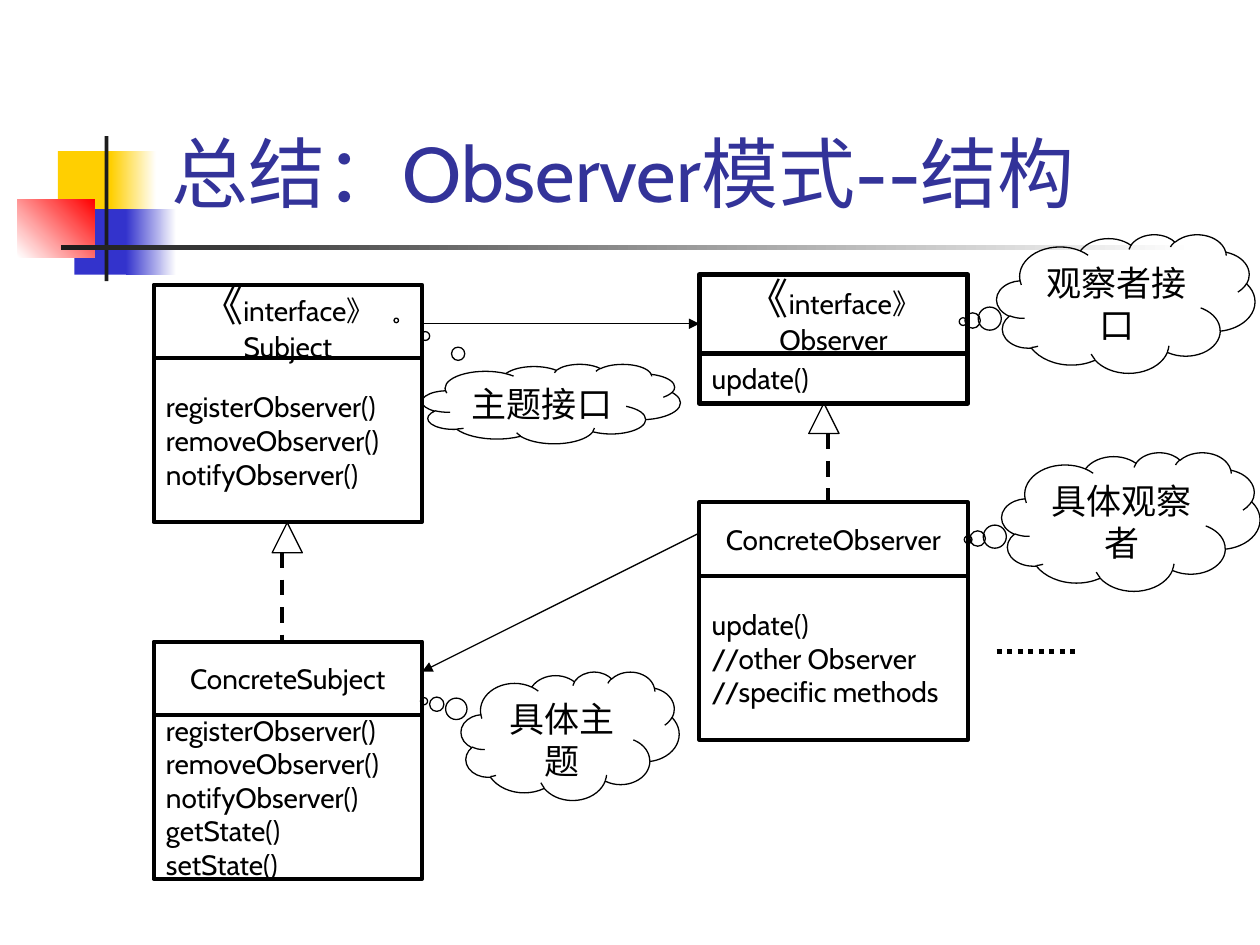
"""Build the slide on the structure of the Observer pattern."""
from lxml import etree
from pptx import Presentation
from pptx import util as u
from pptx.dml.color import RGBColor
from pptx.enum import dml, shapes, text
from pptx.oxml import ns

Pt = u.Pt
COLORS = {"ink": "000000", "title": "333399", "yellow": "FFCF01", "blue": "3333CC",
          "red": "FF0000", "dark": "1C1C1C", "white": "FFFFFF"}
RGB = {name: RGBColor.from_string(value) for name, value in COLORS.items()}
KIND = shapes.MSO_SHAPE
LEFT, CENTER = text.PP_ALIGN.LEFT, text.PP_ALIGN.CENTER

deck = Presentation()
deck.slide_width, deck.slide_height = Pt(720), Pt(540)
page = deck.slides.add_slide(deck.slide_layouts[6])


def add_outline(kind, frame, weight):
    shape = page.shapes.add_shape(kind, *map(Pt, frame))
    shape.shadow.inherit = False
    shape.fill.background()
    shape.line.color.rgb = RGB["ink"]
    shape.line.width = Pt(weight)
    return shape


def write(shape, words, size, align, color="ink"):
    shape.text_frame.text = words
    for para in shape.text_frame.paragraphs:
        para.alignment = align
        if para.text.startswith("《"):
            rest = para.text[1:]
            para.text = "《"
            para.add_run().text = rest
        for span in para.runs:
            span.font.name = "Cabin"
            span.font.size = Pt(24 if span.text == "《" else size)
            span.font.color.rgb = RGB[color]


decoration = [
    ((33.1, 86.4, 34.6, 37.4), ["yellow"], 0),
    ((63.4, 86.4, 25.9, 37.4), ["yellow", "white"], 0),
    ((42.5, 119.5, 33.1, 37.4), ["blue"], 0),
    ((72, 119.5, 28.8, 37.4), ["blue", "white"], 0),
    ((10.1, 113.8, 43.9, 33.1), ["white", "red"], 45),
    ((59.8, 77.8, 2.2, 82.8), ["dark"], 0),
    ((34.6, 140.2, 648, 2.4), ["dark", "white"], 0),
]
for frame, tones, angle in decoration:
    block = page.shapes.add_shape(KIND.RECTANGLE, *map(Pt, frame))
    block.shadow.inherit = False
    block.line.fill.background()
    if len(tones) == 1:
        block.fill.solid()
        block.fill.fore_color.rgb = RGB[tones[0]]
    else:
        block.fill.gradient()
        block.fill.gradient_angle = angle
        for stop, tone in zip(block.fill.gradient_stops, tones):
            stop.color.rgb = RGB[tone]

title = page.shapes.add_textbox(Pt(90.7), Pt(48.2), Pt(613.4), Pt(79.9))
title.text_frame.word_wrap = True
title.text_frame.vertical_anchor = text.MSO_ANCHOR.BOTTOM
write(title, "总结：Observer模式--结构", 44, LEFT, "title")

subject_x, observer_x, class_width = 87.8, 399.6, 153.4
subject_methods = "registerObserver()\nremoveObserver()\nnotifyObserver()"
classes = [
    (subject_x, 162.7, 42.1, 93.6, 2.25, 3.6, "《interface》\nSubject", subject_methods),
    (subject_x, 366.6, 42.1, 93.6, 2.25, 3.6, "ConcreteSubject",
     subject_methods + "\ngetState()\nsetState()"),
    (observer_x, 287.1, 42.1, 93.6, 2.25, 3.6, "ConcreteObserver",
     "update()\n//other Observer\n//specific methods"),
    (observer_x, 157, 45.2, 28.2, 3, 0, "《interface》\nObserver", "update()"),
]
for left, top, head, body, weight, inset, name, methods in classes:
    for y, height, margin, words, align in [(top, head, inset, name, CENTER),
                                            (top + head, body, 3.6, methods, LEFT)]:
        box = add_outline(KIND.RECTANGLE, (left, y, class_width, height), weight)
        frame = box.text_frame
        frame.word_wrap = False
        frame.vertical_anchor = text.MSO_ANCHOR.MIDDLE
        frame.margin_top = frame.margin_bottom = Pt(margin)
        write(box, words, 16, align)

for left, top in [(155.5, 298.6), (462.2, 230.4)]:
    add_outline(KIND.ISOSCELES_TRIANGLE, (left, top, 17.3, 17.3), 0.75)

DASH, DOT = dml.MSO_LINE.DASH, dml.MSO_LINE.ROUND_DOT
subject_right = subject_x + class_width
links = [
    ((161.3, 315.6, 161.3, 366.6), 2.25, DASH, False),
    ((473, 247.7, 473, 287.1), 2.25, DASH, False),
    ((subject_right, 185, observer_x, 185), 0.75, None, True),
    ((observer_x, 304.6, subject_right, 383.8), 0.75, None, True),
    ((569.5, 372.2, 614.9, 372.2), 3, DOT, False),
]
for ends, weight, dash, arrow in links:
    link = page.shapes.add_connector(shapes.MSO_CONNECTOR.STRAIGHT, *map(Pt, ends))
    link.line.color.rgb = RGB["ink"]
    link.line.width = Pt(weight)
    if dash:
        link.line.dash_style = dash
    if arrow:
        tail = etree.SubElement(link.line._get_or_add_ln(), ns.qn("a:tailEnd"))
        tail.set("type", "triangle")
    etree.SubElement(link._element.spPr, ns.qn("a:effectLst"))

clouds = [
    ((572.4, 258.5, 147.6, 79.2), (-0.63, 0.13), "具体观察者"),
    ((241.2, 208.1, 147.6, 45.4), (-0.6, -1.05), "主题接口"),
    ((263.5, 383.8, 124.6, 73.4), (-0.67, -0.27), "具体主题"),
    ((569.5, 133.9, 147.6, 79.2), (-0.63, 0.13), "观察者接口"),
]
for frame, pointer, words in clouds:
    cloud = add_outline(KIND.CLOUD_CALLOUT, frame, 0.75)
    cloud.adjustments[0], cloud.adjustments[1] = pointer
    cloud.text_frame.word_wrap = True
    cloud.text_frame.vertical_anchor = text.MSO_ANCHOR.TOP
    write(cloud, words, 20, CENTER)

deck.save("out.pptx")
